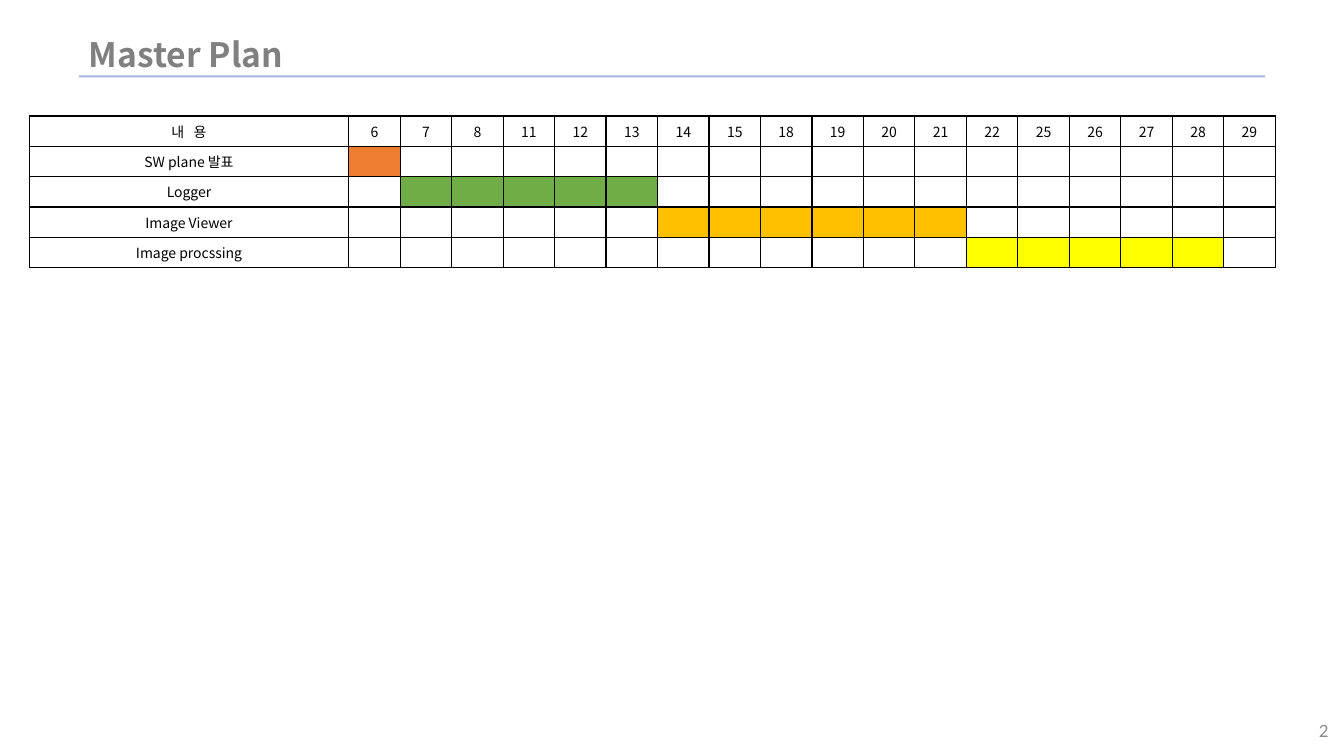
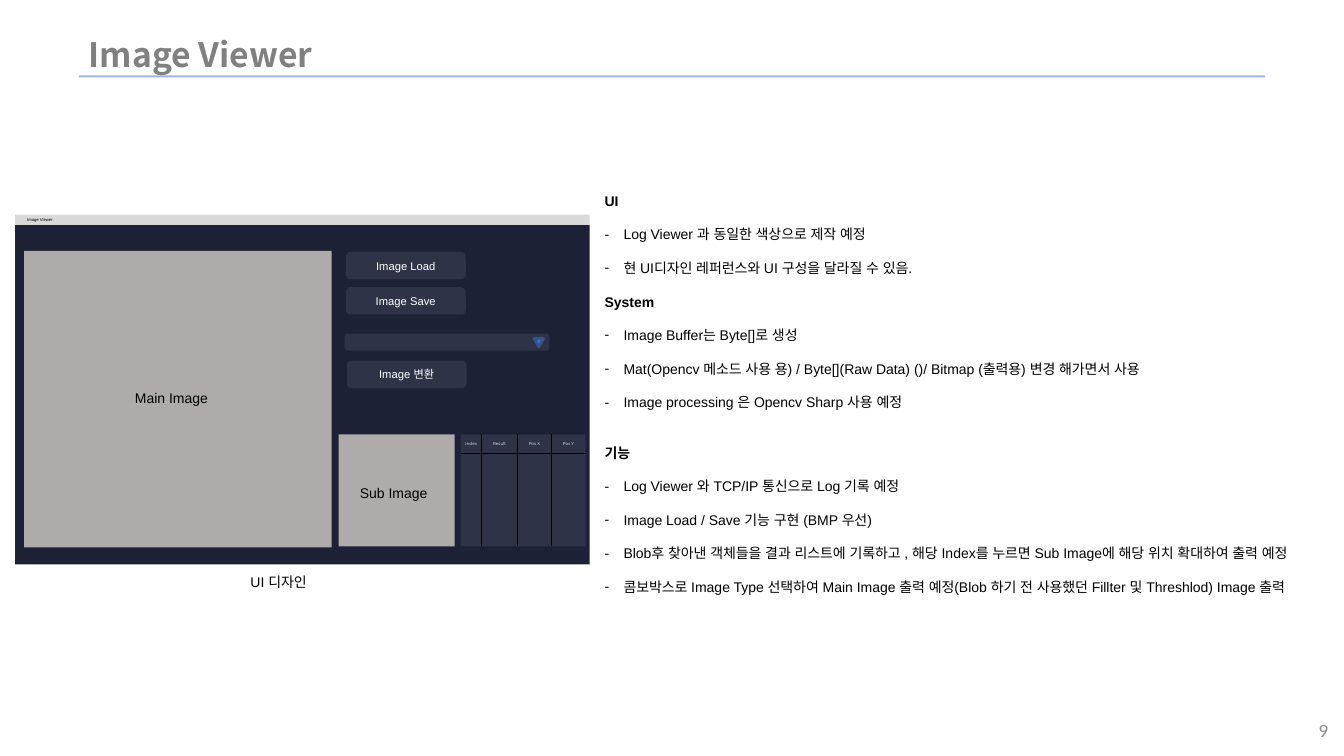
import lxml.etree
import pptx
import pptx.dml.color
import pptx.enum.shapes
import pptx.enum.text
import pptx.oxml.ns
import pptx.util

Pt = pptx.util.Pt
qn = pptx.oxml.ns.qn
SubElement = lxml.etree.SubElement
ALIGN = pptx.enum.text.PP_ALIGN
ANCHOR = pptx.enum.text.MSO_ANCHOR
SHAPE = pptx.enum.shapes.MSO_SHAPE
STRAIGHT = pptx.enum.shapes.MSO_CONNECTOR.STRAIGHT

HEADING_FONT = "Noto Sans CJK KR"
BODY_FONT = "Arial"
BLACK, WHITE = "000000", "FFFFFF"
PANEL, CONTROL = "AFABAB", "2E3347"


def paint(fill, color):
    fill.solid()
    fill.fore_color.rgb = pptx.dml.color.RGBColor.from_string(color)


def write(frame, text, size=10, font=BODY_FONT, color=BLACK, bold=False,
          align=ALIGN.LEFT, anchor=ANCHOR.TOP, wrap=True, spacing=0, more=False):
    frame.word_wrap = wrap
    frame.vertical_anchor = anchor
    para = frame.add_paragraph() if more else frame.paragraphs[0]
    para.alignment = align
    span = para.add_run()
    span.text = text
    span.font.size = Pt(size)
    span.font.name = font
    span.font.bold = bold
    paint(span.font.fill, color)
    properties = span.font._element
    for tag in ("a:ea", "a:cs"):
        SubElement(properties, qn(tag)).set("typeface", font)
    if spacing:
        properties.set("spc", str(round(spacing * 100)))
    return para


deck = pptx.Presentation()
deck.slide_width = Pt(960)
deck.slide_height = Pt(540)

pages = []
title_rules = []
for title, number in (("Master Plan", "2"), ("Image Viewer", "9")):
    page = deck.slides.add_slide(deck.slide_layouts[6])
    title_rules.append(page.shapes.add_connector(STRAIGHT, Pt(56.4), Pt(54.6), Pt(903.6), Pt(54.6)))
    box = page.shapes.add_textbox(Pt(56.4), Pt(22.3), Pt(847.2), Pt(32.4))
    write(box.text_frame, title, size=24, font=HEADING_FONT, color="808080", bold=True,
          anchor=ANCHOR.MIDDLE)
    box = page.shapes.add_textbox(Pt(769), Pt(507.6), Pt(187.2), Pt(28.8))
    write(box.text_frame, number, size=12, font="Lato", color="898989",
          align=ALIGN.RIGHT, anchor=ANCHOR.MIDDLE)
    pages.append(page)
plan_page, viewer_page = pages

days = [6, 7, 8, 11, 12, 13, 14, 15, 18, 19, 20, 21, 22, 25, 26, 27, 28, 29]
tasks = [
    ("SW plane 발표", 6, 6, "ED7D31"),
    ("Logger", 7, 13, "70AD47"),
    ("Image Viewer", 14, 21, "FFC000"),
    ("Image procssing", 22, 28, "FFFF00"),
]
row_height, task_width, day_width = 21.7, 228.2, 36.77
schedule = plan_page.shapes.add_table(
    len(tasks) + 1, len(days) + 1, Pt(20.9), Pt(82.8),
    Pt(task_width + day_width * len(days)), Pt(row_height * (len(tasks) + 1))).table
schedule.first_row = schedule.horz_banding = False
for index, column in enumerate(schedule.columns):
    column.width = Pt(day_width if index else task_width)
for row in schedule.rows:
    row.height = Pt(row_height)
for cell in schedule.iter_cells():
    properties = cell._tc.get_or_add_tcPr()
    for side in ("a:lnL", "a:lnR", "a:lnT", "a:lnB"):
        border = SubElement(properties, qn(side), w=str(Pt(1)))
        SubElement(SubElement(border, qn("a:solidFill")), qn("a:srgbClr")).set("val", BLACK)
    cell.fill.background()
    SubElement(cell.text_frame.paragraphs[0]._p, qn("a:endParaRPr")).set("sz", "1000")

labels = [(0, index, str(day), 0) for index, day in enumerate(days, 1)]
labels += [(index, 0, task[0], 0) for index, task in enumerate(tasks, 1)]
labels.append((0, 0, "내 용", 2.25))
for row, column, text, spacing in labels:
    write(schedule.cell(row, column).text_frame, text, font=HEADING_FONT,
          align=ALIGN.CENTER, spacing=spacing)
for row, (name, first, last, color) in enumerate(tasks, 1):
    for column, day in enumerate(days, 1):
        if first <= day <= last:
            paint(schedule.cell(row, column).fill, color)

sections = [
    ("UI", 0, [
        "Log Viewer 과 동일한 색상으로 제작 예정",
        "현 UI디자인 레퍼런스와 UI 구성을 달라질 수 있음.",
    ]),
    ("System", 12, [
        "Image Buffer는 Byte[]로 생성",
        "Mat(Opencv 메소드 사용 용) / Byte[](Raw Data) ()/ Bitmap (출력용) 변경 해가면서 사용",
        "Image processing 은 Opencv Sharp 사용 예정",
    ]),
    ("기능", 24, [
        "Log Viewer 와 TCP/IP 통신으로 Log 기록 예정",
        "Image Load / Save 기능 구현 (BMP 우선)",
        "Blob후 찾아낸 객체들을 결과 리스트에 기록하고 , 해당 Index를 누르면 Sub Image에 해당 위치 확대하여 출력 예정",
        "콤보박스로 Image Type 선택하여 Main Image 출력 예정(Blob 하기 전 사용했던 Fillter 및 Threshlod) Image 출력",
    ]),
]
notes = viewer_page.shapes.add_textbox(Pt(424.8), Pt(133.9), Pt(535.2), Pt(310.3)).text_frame
for heading, gap, items in sections:
    para = write(notes, heading, bold=True, more=gap > 0)
    para.space_before = Pt(gap)
    para.line_spacing = Pt(12)
    for item in items:
        para = write(notes, item, more=True)
        para.space_before = Pt(12)
        para.line_spacing = Pt(12)
        properties = para._p.get_or_add_pPr()
        properties.set("marL", str(Pt(13.5)))
        properties.set("indent", str(Pt(-13.5)))
        SubElement(properties, qn("a:buFont")).set("typeface", BODY_FONT)
        SubElement(properties, qn("a:buChar")).set("char", "-")

caption = viewer_page.shapes.add_textbox(Pt(167), Pt(406), Pt(64), Pt(19.4))
write(caption.text_frame, "UI 디자인", align=ALIGN.CENTER, wrap=False)

mockup = viewer_page.shapes.add_group_shape().shapes
grid_top, grid_height = 310.3, 79.9
column_edges = [329, 344.2, 369.4, 393.8, 418.3]
grid_left, grid_right = column_edges[0], column_edges[-1]
centered = {"size": 8, "color": WHITE, "align": ALIGN.CENTER}
parts = [
    (SHAPE.RECTANGLE, 10.8, 160.6, 410.4, 242.6, "1C2135", "", {}),
    (SHAPE.RECTANGLE, 10.8, 153.4, 410.4, 7.2, "D9D9D9", "Image Viewer", {"size": 3}),
    (SHAPE.RECTANGLE, 17.3, 179.3, 219.6, 211.7, PANEL, "", {}),
    (SHAPE.RECTANGLE, 241.9, grid_top, 82.8, grid_height, PANEL, "", {}),
    (SHAPE.RECTANGLE, grid_left, grid_top, grid_right - grid_left, grid_height, CONTROL, "", {}),
    (SHAPE.ROUNDED_RECTANGLE, 247, 180, 85.7, 19.4, CONTROL, "Image Load", centered),
    (SHAPE.ROUNDED_RECTANGLE, 247, 205.2, 85.7, 19.4, CONTROL, "Image Save", centered),
    (SHAPE.ROUNDED_RECTANGLE, 246.2, 238.3, 146.2, 12.2, CONTROL, "", {}),
    (SHAPE.ROUNDED_RECTANGLE, 247.7, 257.8, 85.7, 19.4, CONTROL, "Image 변환", centered),
]
for kind, left, top, width, height, color, text, style in parts:
    part = mockup.add_shape(kind, Pt(left), Pt(top), Pt(width), Pt(height))
    part.shadow.inherit = False
    paint(part.fill, color)
    part.line.fill.background()
    if text:
        frame = part.text_frame
        frame.margin_left = frame.margin_right = Pt(8.6)
        frame.margin_top = frame.margin_bottom = 0
        write(frame, text, anchor=ANCHOR.MIDDLE, **style)

arrow = mockup.add_shape(SHAPE.ISOSCELES_TRIANGLE, Pt(381.6), Pt(241.9), Pt(6.5), Pt(5.8))
arrow.rotation = 180
arrow.shadow.inherit = False
paint(arrow.fill, "4472C4")
paint(arrow.line.fill, "325491")
arrow.line.width = Pt(2)

grid_lines = [(grid_left, 324, grid_right, 324)]
grid_lines += [(edge, grid_top, edge, grid_top + grid_height) for edge in column_edges[1:-1]]
grid_rules = [mockup.add_connector(STRAIGHT, *map(Pt, ends)) for ends in grid_lines]

for rules, color, width in ((title_rules, "3F6FC3", 1.5), (grid_rules, BLACK, 0.75)):
    for rule in rules:
        paint(rule.line.fill, color)
        rule.line.width = Pt(width)
        SubElement(rule._element.spPr, qn("a:effectLst"))
for rule in title_rules:
    for tint in rule._element.spPr.iter(qn("a:srgbClr")):
        SubElement(tint, qn("a:alpha")).set("val", "50000")

header = {"size": 3, "font": "Montserrat", "color": WHITE}
mockup_labels = [
    (left, 311.8, right - left, 12.2, text, header)
    for left, right, text in zip(column_edges, column_edges[1:], ("Index", "Result", "Pos X", "Pos Y"))
]
mockup_labels += [
    (77.8, 275, 89.3, 20.9, "Main Image", {}),
    (244.8, 342.7, 72.7, 20.9, "Sub Image", {}),
]
for left, top, width, height, text, style in mockup_labels:
    box = mockup.add_textbox(Pt(left), Pt(top), Pt(width), Pt(height))
    box.text_frame.margin_left = box.text_frame.margin_right = 0
    write(box.text_frame, text, align=ALIGN.CENTER, wrap=False, **style)

deck.save("out.pptx")
